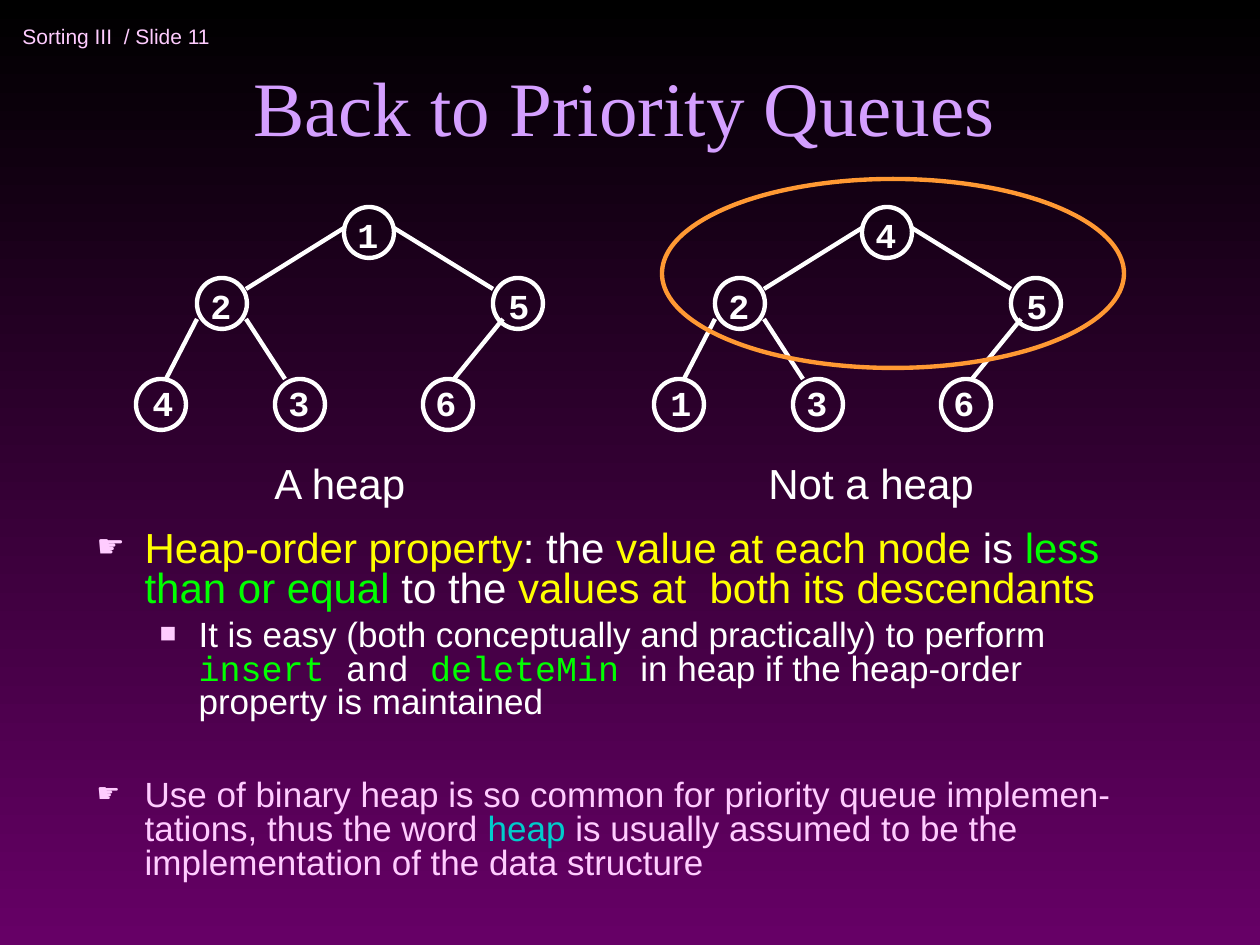
import pptx
import pptx.dml.color
import pptx.enum.shapes
import pptx.enum.text
import pptx.oxml.ns
import pptx.util
from lxml import etree

PX = 914400 / 126
SANS, SERIF, MONO = "Arial", "Times New Roman", "Courier New"
WHITE, PINK, LILAC, ORANGE = "FFFFFF", "FFCCFF", "D49FFF", "FF9933"
YELLOW, GREEN, TEAL = "FFFF00", "00FF00", "00CCCC"


def px(*vals):
    return [pptx.util.Emu(round(v * PX)) for v in vals]


def color(code):
    return pptx.dml.color.RGBColor.from_string(code)


def add(parent, tag, **attrs):
    return etree.SubElement(parent, pptx.oxml.ns.qn(tag), attrs)


class Deck:
    """Holds the line and text style and the slide being drawn."""

    line = 2.5

    def __init__(self):
        self.prs = pptx.Presentation()
        self.prs.slide_width, self.prs.slide_height = px(1260, 945)
        self.slide = self.prs.slides.add_slide(self.prs.slide_layouts[1])

    def shade(self, top, bottom):
        fill = self.slide.background.fill
        fill.gradient()
        fill.gradient_angle = 270
        for stop, code, pos in zip(fill.gradient_stops, (top, bottom), (0, 1)):
            stop.color.rgb = color(code)
            stop.position = pos

    def font(self, font, size=None, code=None, face=None, bold=None):
        if size:
            font.size = pptx.util.Pt(size)
        if code:
            font.color.rgb = color(code)
        if face:
            font.name = face
        if bold is not None:
            font.bold = bold

    def place(self, shape, box):
        shape.left, shape.top, shape.width, shape.height = px(*box)
        shape.text_frame.auto_size = pptx.enum.text.MSO_AUTO_SIZE.NONE

    def title(self, text, box):
        shape = self.slide.shapes.title
        self.place(shape, box)
        shape.text_frame.vertical_anchor = pptx.enum.text.MSO_ANCHOR.BOTTOM
        para = shape.text_frame.paragraphs[0]
        para.text = text
        para.alignment = pptx.enum.text.PP_ALIGN.CENTER
        self.font(para.font, 44, LILAC, SERIF)

    def text(self, text, box, size, code=WHITE, face=SANS, bold=False,
             wrap=False, middle=False):
        shape = self.slide.shapes.add_textbox(*px(*box))
        frame = shape.text_frame
        frame.word_wrap = wrap
        if middle:
            frame.vertical_anchor = pptx.enum.text.MSO_ANCHOR.MIDDLE
        para = frame.paragraphs[0]
        para.text = text
        self.font(para.font, size, code, face, bold)

    def ring(self, box, code=WHITE):
        oval = pptx.enum.shapes.MSO_SHAPE.OVAL
        shape = self.slide.shapes.add_shape(oval, *px(*box))
        shape.shadow.inherit = False
        shape.fill.background()
        shape.line.color.rgb = color(code)
        shape.line.width = pptx.util.Pt(self.line)

    def edge(self, ends):
        kind = pptx.enum.shapes.MSO_CONNECTOR.STRAIGHT
        line = self.slide.shapes.add_connector(kind, *px(*ends))
        line.line.color.rgb = color(WHITE)
        line.line.width = pptx.util.Pt(self.line)
        add(line._element.spPr, "a:effectLst")

    def bullet(self, para, mark, scale, left, hang):
        props = para._p.get_or_add_pPr()
        left, hang = px(left, hang)
        props.set("marL", str(left))
        props.set("indent", str(-hang))
        add(add(props, "a:buClr"), "a:srgbClr", val=PINK)
        add(props, "a:buSzPct", val=str(scale * 1000))
        add(props, "a:buFont", typeface=SANS)
        add(props, "a:buChar", char=mark)

    def body(self, items, box):
        """Each item is level, size, space before and runs of (text, colour, face)."""
        shape = self.slide.placeholders[1]
        self.place(shape, box)
        frame = shape.text_frame
        marks = [("☛", 75, 48, 48), ("■", 80, 102, 39)]
        for num, (level, size, gap, runs) in enumerate(items):
            para = frame.add_paragraph() if num else frame.paragraphs[0]
            para.level = level
            para.line_spacing = 0.8
            para.space_before = pptx.util.Pt(gap)
            self.bullet(para, *marks[level])
            self.font(para.font, size, face=SANS)
            for text, code, *face in runs:
                run = para.add_run()
                run.text = text
                self.font(run.font, None, code, *face)

    def tree(self, shift, keys):
        """Draws the six-node tree, with keys listed level by level."""
        nodes = [(344, 207), (197, 278), (493, 278),
                 (136, 379), (275, 379), (423, 379)]
        labels = [(345, 207), (198, 278), (496, 278),
                  (140, 375), (276, 375), (423, 375)]
        edges = [(344, 228, 246, 289), (394, 228, 493, 289),
                 (197, 319, 166, 379), (246, 319, 285, 379),
                 (503, 319, 454, 379)]
        for x, y in nodes:
            self.ring((x + shift, y, 50, 51))
        for x1, y1, x2, y2 in edges:
            self.edge((x1 + shift, y1, x2 + shift, y2))
        for key, (x, y) in zip(keys, labels):
            self.text(key, (x + shift, y, 45, 55), 20, face=MONO, bold=True)


def main():
    deck = Deck()
    deck.shade("000000", "660066")
    deck.text("Sorting III  / Slide 11", (10, 10, 347, 53), 12, PINK, middle=True)
    deck.title("Back to Priority Queues", (84, 0, 1081, 158))
    deck.body([
        (0, 24, 0, [
            ("Heap-order property", YELLOW), (": the ", WHITE),
            ("value at each node", YELLOW), (" is ", WHITE),
            ("less than or equal", GREEN), (" to the ", WHITE),
            ("values at  both its descendants", YELLOW)]),
        (1, 20, 5, [
            ("It is easy (both conceptually and practically) to perform ", WHITE),
            ("insert", GREEN, MONO), (" and ", WHITE, MONO),
            ("deleteMin ", GREEN, MONO),
            ("in heap if the heap-order property is maintained", WHITE)]),
        (0, 20, 34, [
            ("Use of binary heap is so common for priority queue "
             "implemen-tations, thus the word ", PINK),
            ("heap", TEAL),
            (" is usually assumed to be the implementation of the data "
             "structure", PINK)]),
    ], (84, 525, 1081, 388))
    deck.text("A heap", (262, 451, 168, 63), 24, wrap=True)
    deck.tree(0, "125436")
    deck.text("Not a heap", (756, 451, 273, 63), 24, wrap=True)
    deck.tree(518, "425136")
    deck.ring((662, 179, 462, 189), ORANGE)
    deck.prs.save("out.pptx")


if __name__ == "__main__":
    main()
